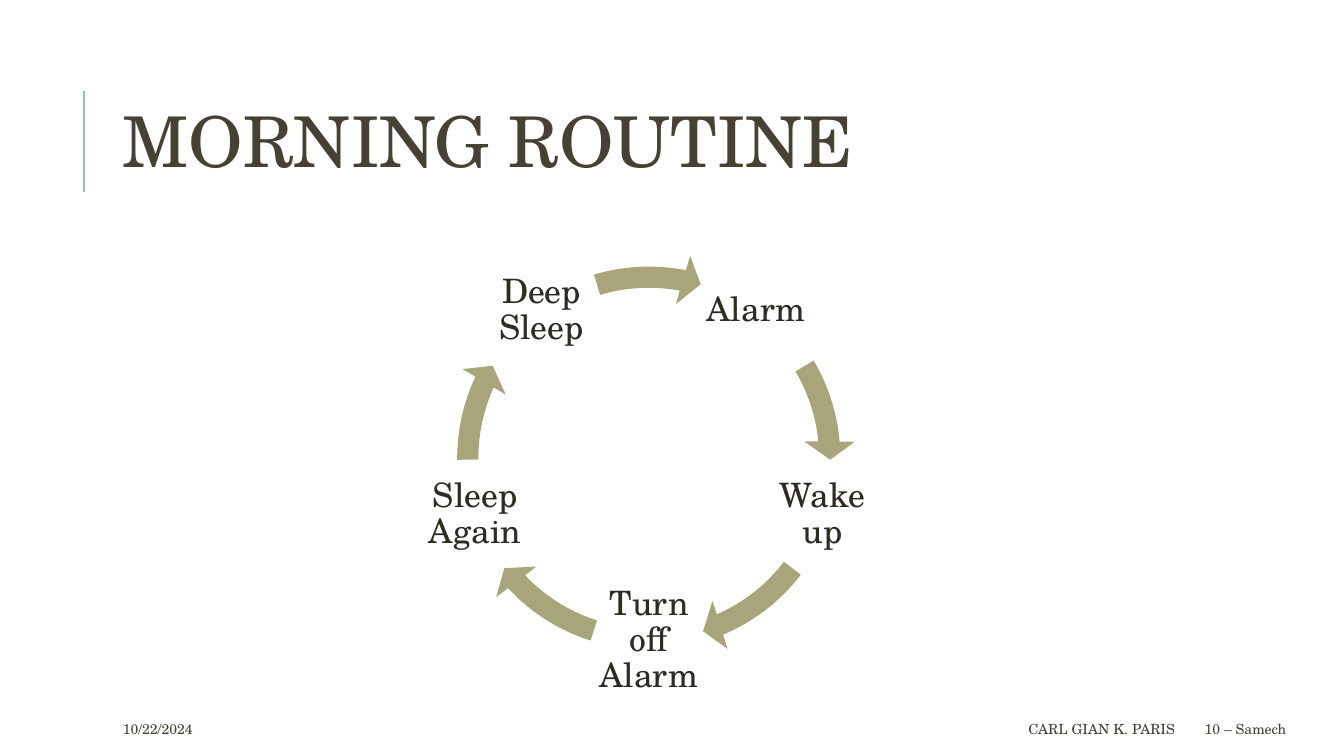
"""Build the morning routine slide: five steps joined by arrows in a ring."""
from dataclasses import dataclass
from math import asin, cos, degrees, radians, sin, tan

from lxml.etree import SubElement
from pptx import Presentation
from pptx.dml.color import RGBColor
from pptx.enum.shapes import MSO_CONNECTOR as Connector
from pptx.enum.text import MSO_ANCHOR as Anchor, PP_ALIGN as Align
from pptx.oxml.ns import qn
from pptx.util import Inches, Pt

FONT = "TeX Gyre Schola"
HEADING, BODY, ARROW, ACCENT = "464132", "2E2B21", "A9A57B", "9CBEBD"
CENTER_X, CENTER_Y, RING_SIZE = 12.87 / 2, 9.09 / 2, 4.08
STEP_RADIUS, STEP_SIZE = 1.81, 1.09
OUTER, MIDDLE, INNER = 1.9, 1.8, 1.69
WING_OUTER, WING_INNER, HEAD_LENGTH = 2.04, 1.54, 0.18

Point = tuple[float, float]


@dataclass(frozen=True)
class Label:
    text: str
    left: float
    top: float
    width: float
    height: float
    size: float
    color: str = HEADING
    align: Align = Align.LEFT
    spacing: float = 1.0
    inset_x: float = 0.1
    inset_y: float = 0.05


@dataclass(frozen=True)
class Step:
    text: str
    arrow_start: float
    arrow_tip: float


TITLE = Label("MORNING ROUTINE", 1.12, 0.64, 10.63, 1.64, 50, spacing=0.8)
FOOTERS = [
    Label("10/22/2024", 1.12, 7.08, 2.36, 0.3, 10),
    Label("CARL GIAN K. PARIS", 5.3, 7.08, 6.45, 0.3, 10, align=Align.RIGHT),
    Label("10 – Samech", 11.85, 7.08, 1.06, 0.3, 10),
]
STEPS = [
    Step("Alarm", 59.4, 90.5),
    Step("Wake up", 127.5, 162.6),
    Step("Turn off Alarm", 197.7, 232.7),
    Step("Sleep Again", 269.5, 300.6),
    Step("Deep Sleep", 343.4, 376.6),
]


def rgb(value: str) -> RGBColor:
    """Turn a hex string into a colour."""
    return RGBColor.from_string(value)


def apply(target: object, values: dict) -> None:
    """Set every attribute named in the dict."""
    for name, value in values.items():
        setattr(target, name, value)


def ring_point(angle: float, radius: float, forward: float = 0) -> Point:
    """Place a point clockwise from the top, moved along the tangent."""
    turn = radians(angle)
    return (CENTER_X + radius * sin(turn) + forward * cos(turn),
            CENTER_Y - radius * cos(turn) + forward * sin(turn))


def arc(start: float, end: float, radius: float) -> list[Point]:
    """Give the two control points and the end of a Bezier arc."""
    reach = radius * 4 / 3 * tan(radians(end - start) / 4)
    return [ring_point(start, radius, reach), ring_point(end, radius, -reach),
            ring_point(end, radius)]


def add_label(shapes, label: Label) -> None:
    """Add one text box."""
    box = shapes.add_textbox(*map(Inches, (
        label.left, label.top, label.width, label.height)))
    frame = box.text_frame
    inset_x, inset_y = Inches(label.inset_x), Inches(label.inset_y)
    apply(frame, {"word_wrap": True, "vertical_anchor": Anchor.MIDDLE,
                  "margin_left": inset_x, "margin_right": inset_x,
                  "margin_top": inset_y, "margin_bottom": inset_y})
    paragraph = frame.paragraphs[0]
    apply(paragraph, {"alignment": label.align, "line_spacing": label.spacing})
    run = paragraph.add_run()
    run.text = label.text
    apply(run.font, {"name": FONT, "size": Pt(label.size)})
    run.font.color.rgb = rgb(label.color)


def trace(outline, commands: list[tuple[str, list[Point]]]) -> None:
    """Write drawing commands into a path that spans the ring's square."""
    for child in list(outline):
        outline.remove(child)
    for side in ("w", "h"):
        outline.set(side, str(Inches(RING_SIZE)))
    for command, points in commands:
        element = SubElement(outline, qn(f"a:{command}"))
        for x, y in points:
            SubElement(element, qn("a:pt"),
                       x=str(Inches(x - CENTER_X + RING_SIZE / 2)),
                       y=str(Inches(y - CENTER_Y + RING_SIZE / 2)))


def add_arrow(shapes, start: float, tip: float) -> None:
    """Add one curved arrow of the ring."""
    outer_end, inner_end = (tip - degrees(asin(HEAD_LENGTH / radius))
                            for radius in (OUTER, INNER))
    head = [ring_point(tip, WING_OUTER, -HEAD_LENGTH), ring_point(tip, MIDDLE),
            ring_point(tip, WING_INNER, -HEAD_LENGTH),
            ring_point(inner_end, INNER)]
    builder = shapes.build_freeform(*map(Inches, head[0]))
    builder.add_line_segments([tuple(map(Inches, point)) for point in head[1:]])
    arrow = builder.convert_to_shape()
    apply(arrow, {"left": Inches(CENTER_X - RING_SIZE / 2),
                  "top": Inches(CENTER_Y - RING_SIZE / 2),
                  "width": Inches(RING_SIZE), "height": Inches(RING_SIZE)})
    trace(next(arrow._element.iter(qn("a:path"))), [
        ("moveTo", [ring_point(start, OUTER)]),
        ("cubicBezTo", arc(start, outer_end, OUTER)),
        *(("lnTo", [corner]) for corner in head),
        ("cubicBezTo", arc(inner_end, start, INNER)),
        ("close", []),
    ])
    arrow.shadow.inherit = False
    arrow.fill.solid()
    arrow.fill.fore_color.rgb = rgb(ARROW)
    arrow.line.fill.background()


def add_step(shapes, index: int, step: Step) -> None:
    """Add a step's text and the arrow that follows it."""
    x, y = ring_point(36 + index * 360 / len(STEPS), STEP_RADIUS)
    add_label(shapes, Label(
        step.text, x - STEP_SIZE / 2, y - STEP_SIZE / 2, STEP_SIZE, STEP_SIZE,
        24, BODY, Align.CENTER, 0.9, 0.03, 0.03))
    add_arrow(shapes, step.arrow_start, step.arrow_tip)


def add_title_rule(shapes) -> None:
    """Add the upright rule beside the title."""
    rule = shapes.add_connector(
        Connector.STRAIGHT, *map(Inches, (0.83, 1.9, 0.83, 0.9)))
    rule.line.color.rgb = rgb(ACCENT)
    rule.line.width = Pt(1.5)
    SubElement(rule._element.spPr, qn("a:effectLst"))


def main() -> None:
    """Build and save the slide."""
    deck = Presentation()
    apply(deck, {"slide_width": Inches(13.33), "slide_height": Inches(7.5)})
    shapes = deck.slides.add_slide(deck.slide_layouts[6]).shapes
    add_title_rule(shapes)
    add_label(shapes, TITLE)
    for index, step in enumerate(STEPS):
        add_step(shapes, index, step)
    for footer in FOOTERS:
        add_label(shapes, footer)
    deck.save("out.pptx")


if __name__ == "__main__":
    main()
